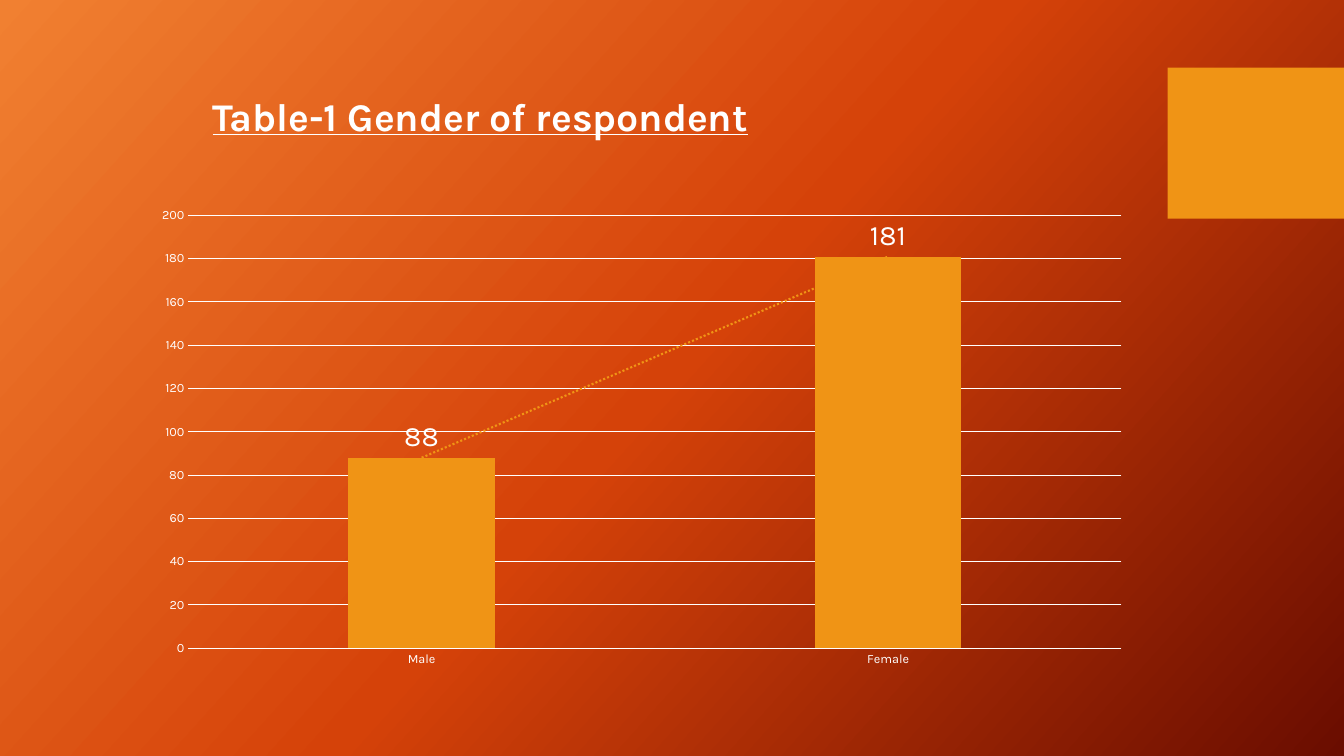
from copy import deepcopy

from lxml.etree import SubElement
from pptx import Presentation
from pptx.chart.data import CategoryChartData
from pptx.dml.color import RGBColor
from pptx.enum.chart import XL_CHART_TYPE, XL_LABEL_POSITION, XL_TICK_MARK
from pptx.enum.shapes import MSO_SHAPE
from pptx.enum.text import MSO_AUTO_SIZE
from pptx.oxml import parse_xml
from pptx.oxml.ns import nsdecls, qn
from pptx.util import Inches, Pt

WHITE = RGBColor(0xFF, 0xFF, 0xFF)
AMBER = RGBColor(0xF0, 0x94, 0x15)
GLOW = RGBColor(0xF1, 0x80, 0x31)
FLAME = RGBColor(0xD5, 0x42, 0x09)
EMBER = RGBColor(0x6A, 0x0D, 0x00)
FACE = "Karla"


def style(font, size):
    """Give a font the face, size and colour of the slide."""
    font.name = FACE
    font.size = Pt(size)
    font.color.rgb = WHITE


def rule(line):
    """Draw a thin white chart line."""
    line.color.rgb = WHITE
    line.width = Pt(0.75)


def add_back(slide):
    """Fill the background with a three-stop gradient."""
    fill = slide.background.fill
    fill.gradient()
    fill.gradient_angle = 360 - 42
    stops = slide.element.find(".//" + qn("a:gsLst"))
    stops.insert(1, deepcopy(stops[0]))
    for stop, place, color in zip(
        fill.gradient_stops, (0, 0.5, 1), (GLOW, FLAME, EMBER)
    ):
        stop.position = place
        stop.color.rgb = color


def add_block(slide, box):
    """Place the amber block at the right edge."""
    block = slide.shapes.add_shape(MSO_SHAPE.RECTANGLE, *box)
    block.shadow.inherit = False
    block.fill.solid()
    block.fill.fore_color.rgb = AMBER
    block.line.fill.background()


def add_title(slide, box):
    """Write the underlined title."""
    frame = slide.shapes.add_textbox(*box).text_frame
    frame.word_wrap = True
    frame.auto_size = MSO_AUTO_SIZE.SHAPE_TO_FIT_TEXT
    frame.text = "Table-1 Gender of respondent"
    font = frame.paragraphs[0].runs[0].font
    style(font, 28)
    font.bold = font.underline = True


def add_trend(series):
    """Add a dotted linear trend line to a series."""
    trend = parse_xml(
        f'<c:trendline {nsdecls("c", "a")}><c:spPr><a:ln w="{Pt(1.5)}">'
        f'<a:solidFill><a:srgbClr val="{AMBER}"/></a:solidFill>'
        '<a:prstDash val="sysDot"/></a:ln></c:spPr></c:trendline>'
    )
    for tag, value in (("trendlineType", "linear"), ("dispRSqr", "0"), ("dispEq", "0")):
        SubElement(trend, qn("c:" + tag)).set("val", value)
    series._element.find(qn("c:cat")).addprevious(trend)


def add_bars(slide, box):
    """Chart the respondents by gender."""
    data = CategoryChartData()
    data.categories = ["Male", "Female"]
    data.add_series("Series 1", (88, 181))
    chart = slide.shapes.add_chart(XL_CHART_TYPE.COLUMN_CLUSTERED, *box, data).chart
    chart.has_title = chart.has_legend = False
    style(chart.font, 10)

    for axis in (chart.category_axis, chart.value_axis):
        axis.major_tick_mark = axis.minor_tick_mark = XL_TICK_MARK.NONE
        style(axis.tick_labels.font, 9)
    rule(chart.category_axis.format.line)
    scale = chart.value_axis
    scale.minimum_scale, scale.maximum_scale, scale.major_unit = 0, 200, 20
    scale.format.line.fill.background()
    rule(scale.major_gridlines.format.line)

    plot = chart.plots[0]
    plot.gap_width, plot.overlap = 219, -27
    plot.vary_by_categories = False
    bars = plot.series[0]
    bars.format.fill.solid()
    bars.format.fill.fore_color.rgb = AMBER
    labels = bars.data_labels
    labels.show_value = True
    labels.position = XL_LABEL_POSITION.OUTSIDE_END
    style(labels.font, 20)
    add_trend(bars)


def inch(*sides):
    """Turn left, top, width and height into lengths."""
    return [Inches(side) for side in sides]


def build():
    """Build the slide and save it."""
    deck = Presentation()
    deck.slide_width, deck.slide_height = inch(13.33, 7.5)
    slide = deck.slides.add_slide(deck.slide_layouts[6])
    add_back(slide)
    add_block(slide, inch(11.58, 0.67, 1.75, 1.5))
    add_bars(slide, inch(1.41, 1.97, 9.91, 4.74))
    add_title(slide, inch(2.01, 0.87, 5.88, 0.57))
    deck.save("out.pptx")


build()
